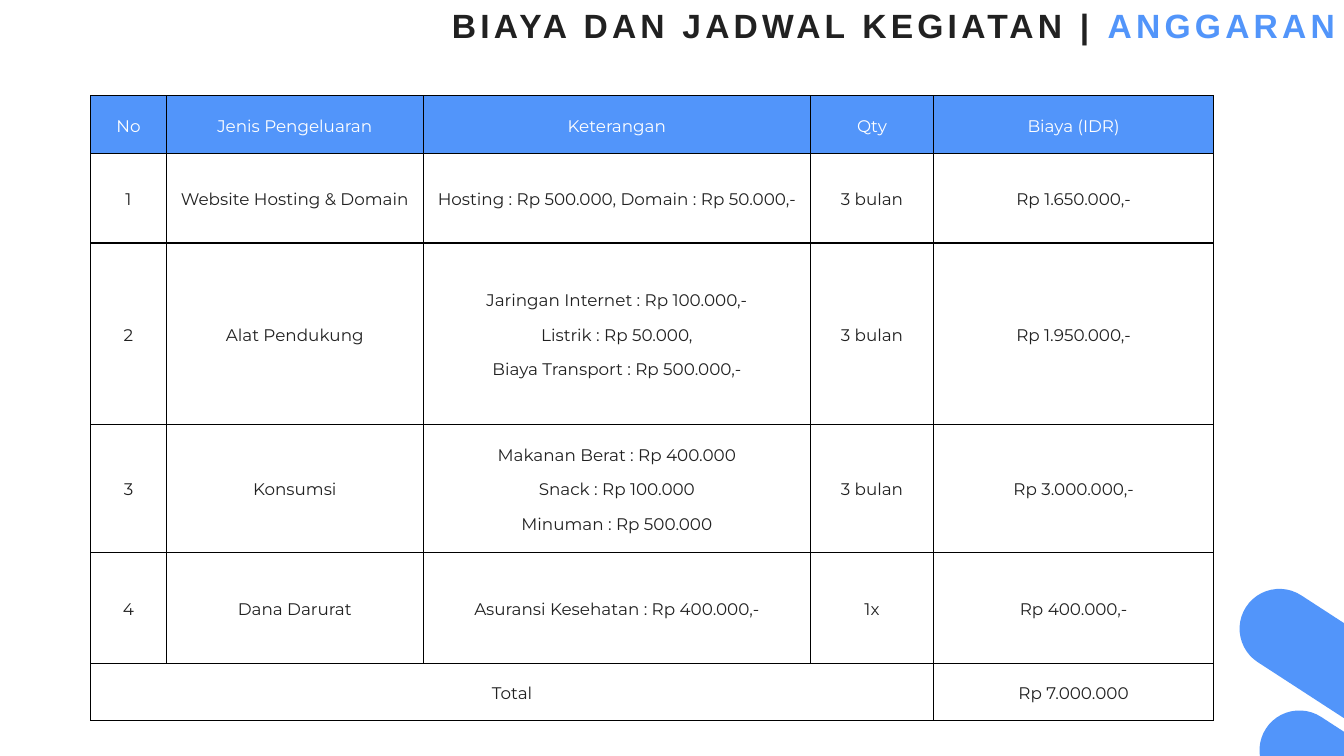
from itertools import product
from lxml.etree import SubElement
from pptx import Presentation
from pptx.dml.color import RGBColor
from pptx.enum.shapes import MSO_SHAPE
from pptx.enum.text import MSO_ANCHOR, PP_ALIGN
from pptx.oxml import parse_xml
from pptx.oxml.ns import nsdecls
from pptx.util import Inches, Pt

BLUE = RGBColor(0x52, 0x95, 0xFA)
DARK = RGBColor(0x21, 0x21, 0x21)
WHITE = RGBColor(0xFF, 0xFF, 0xFF)
BLACK = RGBColor(0, 0, 0)

WIDE, HIGH = Inches(13.33), Inches(7.5)
COLS = [0.75, 2.55, 3.84, 1.22, 2.78]
ROWS = [0.57, 0.89, 1.8, 1.27, 1.1, 0.57]
COSTS = [
    ["No", "Jenis Pengeluaran", "Keterangan", "Qty", "Biaya (IDR)"],
    ["1", "Website Hosting & Domain",
     "Hosting : Rp 500.000, Domain : Rp 50.000,-", "3 bulan", "Rp 1.650.000,-"],
    ["2", "Alat Pendukung",
     "Jaringan Internet : Rp 100.000,-\nListrik : Rp 50.000,\n"
     "Biaya Transport : Rp 500.000,-", "3 bulan", "Rp 1.950.000,-"],
    ["3", "Konsumsi",
     "Makanan Berat : Rp 400.000\nSnack : Rp 100.000\nMinuman : Rp 500.000",
     "3 bulan", "Rp 3.000.000,-"],
    ["4", "Dana Darurat", "Asuransi Kesehatan : Rp 400.000,-", "1x", "Rp 400.000,-"],
    ["Total", "", "", "", "Rp 7.000.000"],
]


def area(left, top, width, height):
    """Turn percentages of the slide into a box."""
    return (int(WIDE * left / 100), int(HIGH * top / 100),
            int(WIDE * width / 100), int(HIGH * height / 100))


def add_title(slide, box, parts):
    """Write the spaced heading, flush right, from text and colour pairs."""
    frame = slide.shapes.add_textbox(*box).text_frame
    frame.word_wrap = True
    line = frame.paragraphs[0]
    line.alignment = PP_ALIGN.RIGHT
    for text, color in parts:
        run = line.add_run()
        run.text = text
        font = run.font
        font.name, font.size, font.bold = "Arial", Pt(24), True
        font.color.rgb = color
        run._r.get_or_add_rPr().set("spc", "300")


def add_pills(slide, box):
    """Place two tilted pills, the second lower and to the right."""
    left, top, width, height = box
    for across, down in [(0, 0), (0.25, 0.37)]:
        pill = slide.shapes.add_shape(
            MSO_SHAPE.ROUNDED_RECTANGLE, int(left + across * width),
            int(top + down * height), width, height)
        pill.adjustments[0] = 0.5
        pill.rotation = 123
        pill.shadow.inherit = False
        pill.fill.solid()
        pill.fill.fore_color.rgb = BLUE
        pill.line.fill.background()


def add_edges(cell):
    """Draw a black line of one point on each side of a cell."""
    props = cell._tc.get_or_add_tcPr()
    for spot, side in enumerate("LRTB"):
        edge = parse_xml(f'<a:ln{side} {nsdecls("a")} w="{Pt(1)}"><a:solidFill/></a:ln{side}>')
        SubElement(edge[0], edge[0].tag.replace("solidFill", "srgbClr"), val=str(BLACK))
        props.insert(spot, edge)


def fill_cell(cell, text, head):
    """Write and style one cell, in heading colours if head is true."""
    cell.margin_left = cell.margin_right = Inches(0.06)
    cell.margin_top = cell.margin_bottom = Inches(0.06)
    cell.vertical_anchor = MSO_ANCHOR.MIDDLE
    cell.text_frame.text = text
    for line in cell.text_frame.paragraphs:
        line.alignment = PP_ALIGN.CENTER
        line.line_spacing = 1.15
        line.space_after = Pt(8)
        font = line.font
        font.name, font.size = "Montserrat", Pt(12)
        font.color.rgb = WHITE if head else DARK
        for run in line.runs:
            run.font.name, run.font.size = "Montserrat", Pt(12)
            run.font.color.rgb = WHITE if head else DARK
    if head:
        cell.fill.solid()
        cell.fill.fore_color.rgb = BLUE
    else:
        cell.fill.background()
    add_edges(cell)


def add_costs(slide, box):
    """Build the budget table, sharing the box by column and row weights."""
    width, height = box[2:]
    table = slide.shapes.add_table(len(ROWS), len(COLS), *box).table
    table.first_row = table.horz_banding = False
    for col, part in zip(table.columns, COLS):
        col.width = int(width * part / sum(COLS))
    for row, part in zip(table.rows, ROWS):
        row.height = int(height * part / sum(ROWS))
    for row, col in product(range(len(ROWS)), range(len(COLS))):
        fill_cell(table.cell(row, col), COSTS[row][col], row == 0)
    last = len(ROWS) - 1
    table.cell(last, 0).merge(table.cell(last, 3))


def main():
    """Build and save the budget slide."""
    deck = Presentation()
    deck.slide_width, deck.slide_height = WIDE, HIGH
    slide = deck.slides.add_slide(deck.slide_layouts[6])
    add_pills(slide, area(100, 70.4, 5.93, 43.47))
    add_title(slide, area(23.93, 0, 76.14, 6.67),
              [("BIAYA DAN JADWAL KEGIATAN | ", DARK), ("ANGGARAN", BLUE)])
    add_costs(slide, area(6.75, 12.67, 83.57, 82.67))
    deck.save("out.pptx")


if __name__ == "__main__":
    main()
